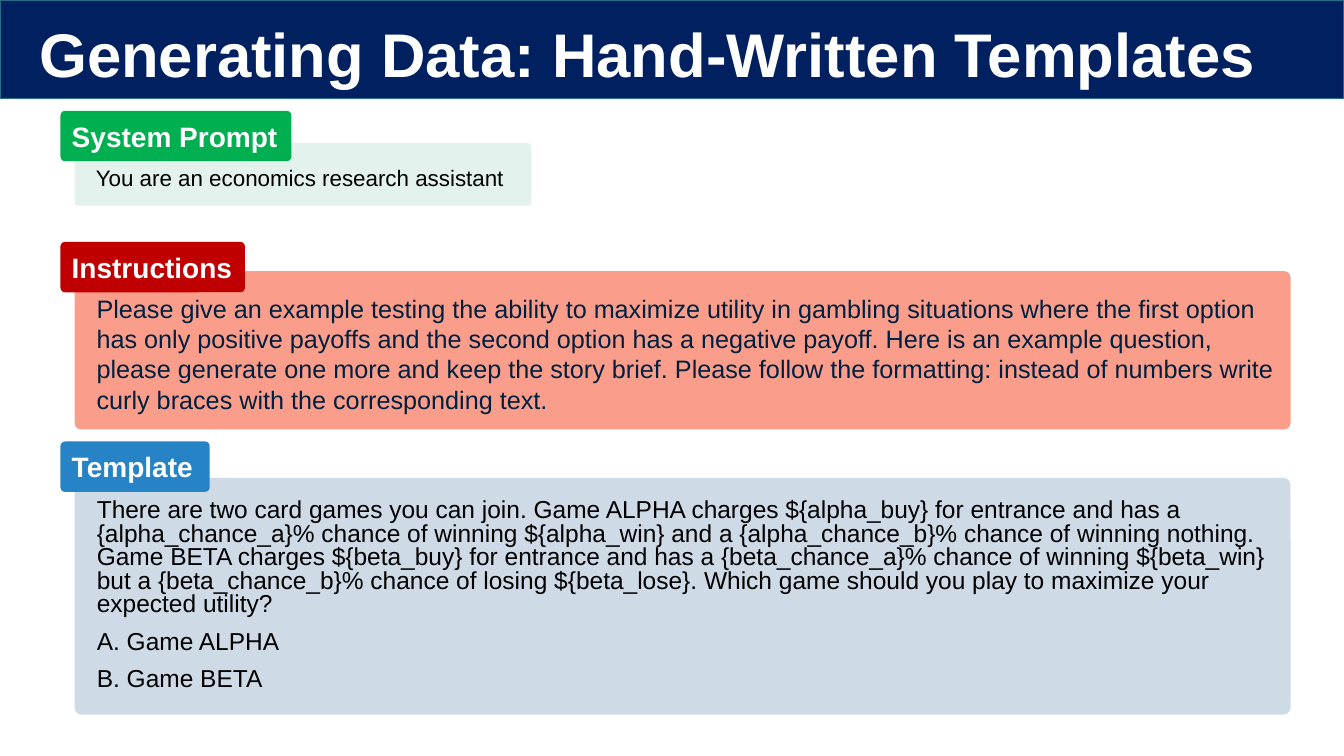
from dataclasses import dataclass

from pptx import Presentation
from pptx.dml.color import RGBColor
from pptx.enum.shapes import MSO_SHAPE
from pptx.enum.text import MSO_ANCHOR, PP_ALIGN
from pptx.shapes.autoshape import Shape
from pptx.slide import Slide
from pptx.text.text import TextFrame
from pptx.util import Emu, Pt

RECTANGLE = MSO_SHAPE.RECTANGLE
ROUNDED = MSO_SHAPE.ROUNDED_RECTANGLE
TOP, MIDDLE = MSO_ANCHOR.TOP, MSO_ANCHOR.MIDDLE
LEFT = PP_ALIGN.LEFT

EMU_PER_PX = 9144  # 100 px to the inch


@dataclass(frozen=True)
class Theme:
    font: str = "Arial"
    white: str = "FFFFFF"
    black: str = "000000"
    navy: str = "002060"
    ink: str = "002040"
    header_line: str = "266D8A"
    green: str = "00B050"
    pale_green: str = "E3F2ED"
    red: str = "C00000"
    salmon: str = "FA9D8A"
    blue: str = "2683C6"
    pale_blue: str = "CEDBE6"
    title_size: float = 44
    label_size: float = 20
    instructions_size: float = 18
    template_size: float = 17.5
    system_size: float = 16


THEME = Theme()


@dataclass(frozen=True)
class Box:
    left: int
    top: int
    width: int
    height: int


@dataclass(frozen=True)
class TextStyle:
    size: float
    color: str
    bold: bool = False
    line_spacing: float = 1.0
    space_before: float = 10


@dataclass(frozen=True)
class Section:
    label: str
    label_box: Box
    label_fill: str
    panel_box: Box
    panel_fill: str
    panel_corner: float
    style: TextStyle
    paragraphs: tuple[str, ...]


TITLE_STYLE = TextStyle(THEME.title_size, THEME.white, True, 0.9)
LABEL_STYLE = TextStyle(THEME.label_size, THEME.white, True)
LABEL_CORNER = 0.09
LABEL_INSETS = (10, 5, 10, 5)
PANEL_INSETS = (20, 20, 10, 5)

SECTIONS = (
    Section(
        "System Prompt", Box(60, 110, 229, 50), THEME.green,
        Box(74, 142, 453, 62), THEME.pale_green, 0.06,
        TextStyle(THEME.system_size, THEME.black),
        ("You are an economics research assistant",),
    ),
    Section(
        "Instructions", Box(60, 240, 183, 50), THEME.red,
        Box(74, 269, 1206, 157), THEME.salmon, 0.04,
        TextStyle(THEME.instructions_size, THEME.ink),
        (
            "Please give an example testing the ability to maximize utility in "
            "gambling situations where the first option has only positive payoffs "
            "and the second option has a negative payoff. Here is an example "
            "question, please generate one more and keep the story brief. Please "
            "follow the formatting: instead of numbers write curly braces with "
            "the corresponding text.",
        ),
    ),
    Section(
        "Template", Box(60, 438, 148, 50), THEME.blue,
        Box(74, 474, 1206, 235), THEME.pale_blue, 0.03,
        TextStyle(THEME.template_size, THEME.black, line_spacing=0.8),
        (
            "There are two card games you can join. Game ALPHA charges "
            "${alpha_buy} for entrance and has a {alpha_chance_a}% chance of "
            "winning ${alpha_win} and a {alpha_chance_b}% chance of winning "
            "nothing. Game BETA charges ${beta_buy} for entrance and has a "
            "{beta_chance_a}% chance of winning ${beta_win} but a "
            "{beta_chance_b}% chance of losing ${beta_lose}. Which game should "
            "you play to maximize your expected utility?",
            "A. Game ALPHA",
            "B. Game BETA",
        ),
    ),
)


def px(length: int) -> Emu:
    return Emu(length * EMU_PER_PX)


def place(box: Box) -> tuple[Emu, Emu, Emu, Emu]:
    return px(box.left), px(box.top), px(box.width), px(box.height)


def write_text(frame: TextFrame, paragraphs: tuple[str, ...], style: TextStyle,
               insets: tuple[int, int, int, int], anchor: MSO_ANCHOR) -> None:
    frame.word_wrap = True
    frame.vertical_anchor = anchor
    frame.margin_left, frame.margin_top, frame.margin_right, frame.margin_bottom = map(px, insets)
    for index, text in enumerate(paragraphs):
        paragraph = frame.add_paragraph() if index else frame.paragraphs[0]
        paragraph.alignment = LEFT
        paragraph.line_spacing = style.line_spacing
        paragraph.space_before = Pt(style.space_before if index else 0)
        run = paragraph.add_run()
        run.text = text
        run.font.name = THEME.font
        run.font.size = Pt(style.size)
        run.font.bold = style.bold
        run.font.color.rgb = RGBColor.from_string(style.color)


def add_block(slide: Slide, kind: MSO_SHAPE, box: Box, fill: str) -> Shape:
    shape = slide.shapes.add_shape(kind, *place(box))
    shape.shadow.inherit = False
    shape.fill.solid()
    shape.fill.fore_color.rgb = RGBColor.from_string(fill)
    shape.line.fill.background()
    return shape


def add_rounded_text(slide: Slide, box: Box, fill: str, corner: float,
                     paragraphs: tuple[str, ...], style: TextStyle,
                     insets: tuple[int, int, int, int], anchor: MSO_ANCHOR) -> None:
    shape = add_block(slide, ROUNDED, box, fill)
    shape.adjustments[0] = corner
    write_text(shape.text_frame, paragraphs, style, insets, anchor)


def add_header(slide: Slide, title: str) -> None:
    band = add_block(slide, RECTANGLE, Box(0, 0, 1333, 98), THEME.navy)
    band.line.color.rgb = RGBColor.from_string(THEME.header_line)
    band.line.width = Pt(1)
    title_box = slide.shapes.add_textbox(*place(Box(29, 0, 1277, 114)))
    write_text(title_box.text_frame, (title,), TITLE_STYLE, LABEL_INSETS, MIDDLE)


def add_section(slide: Slide, section: Section) -> None:
    # The label overlaps the panel's top left corner
    add_rounded_text(slide, section.panel_box, section.panel_fill, section.panel_corner,
                     section.paragraphs, section.style, PANEL_INSETS, TOP)
    add_rounded_text(slide, section.label_box, section.label_fill, LABEL_CORNER,
                     (section.label,), LABEL_STYLE, LABEL_INSETS, MIDDLE)


def main() -> None:
    presentation = Presentation()
    presentation.slide_width, presentation.slide_height = px(1333), px(750)
    slide = presentation.slides.add_slide(presentation.slide_layouts[6])

    # Header band and title
    add_header(slide, "Generating Data: Hand-Written Templates")

    # Prompt sections
    for section in SECTIONS:
        add_section(slide, section)

    presentation.save("out.pptx")


if __name__ == "__main__":
    main()
